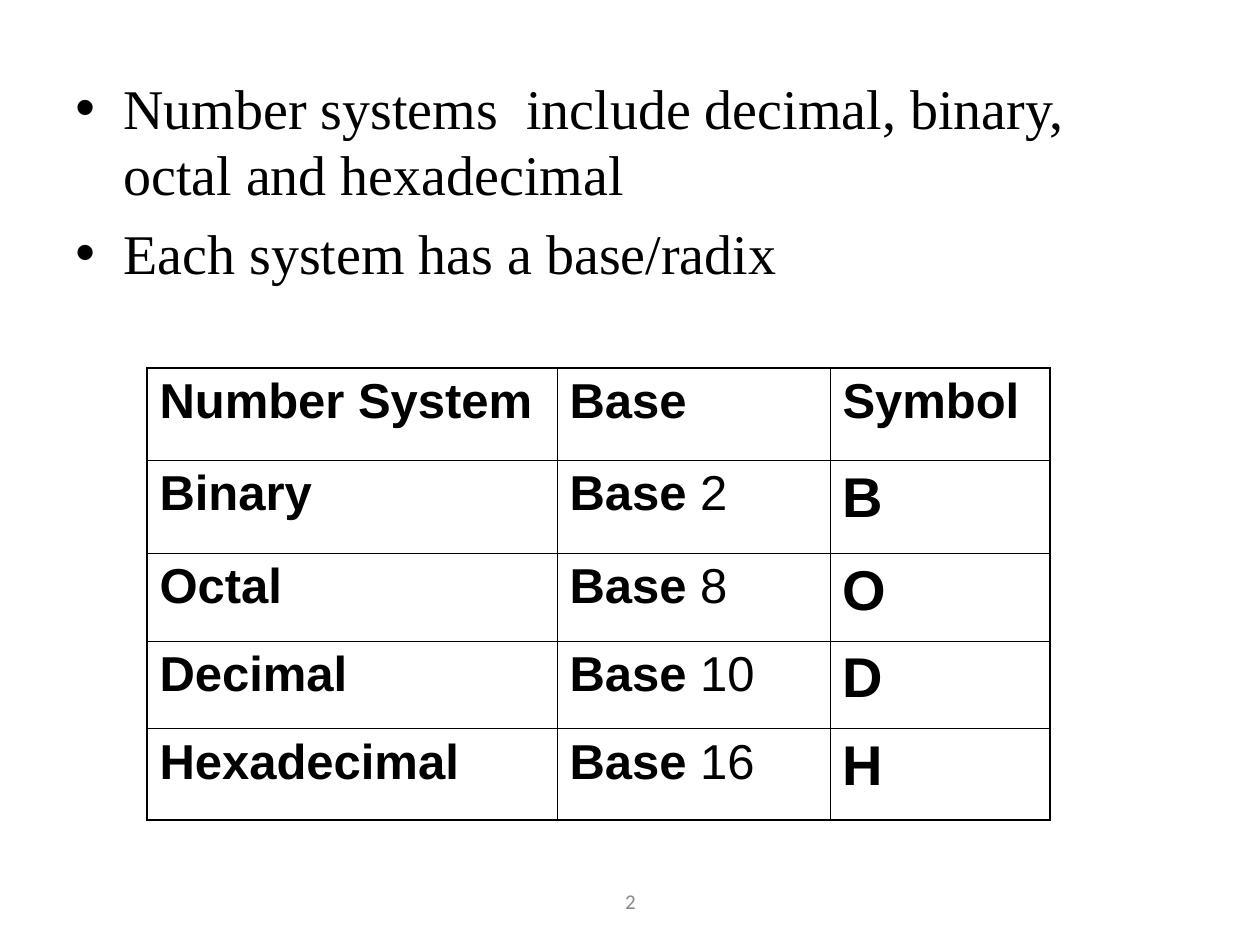
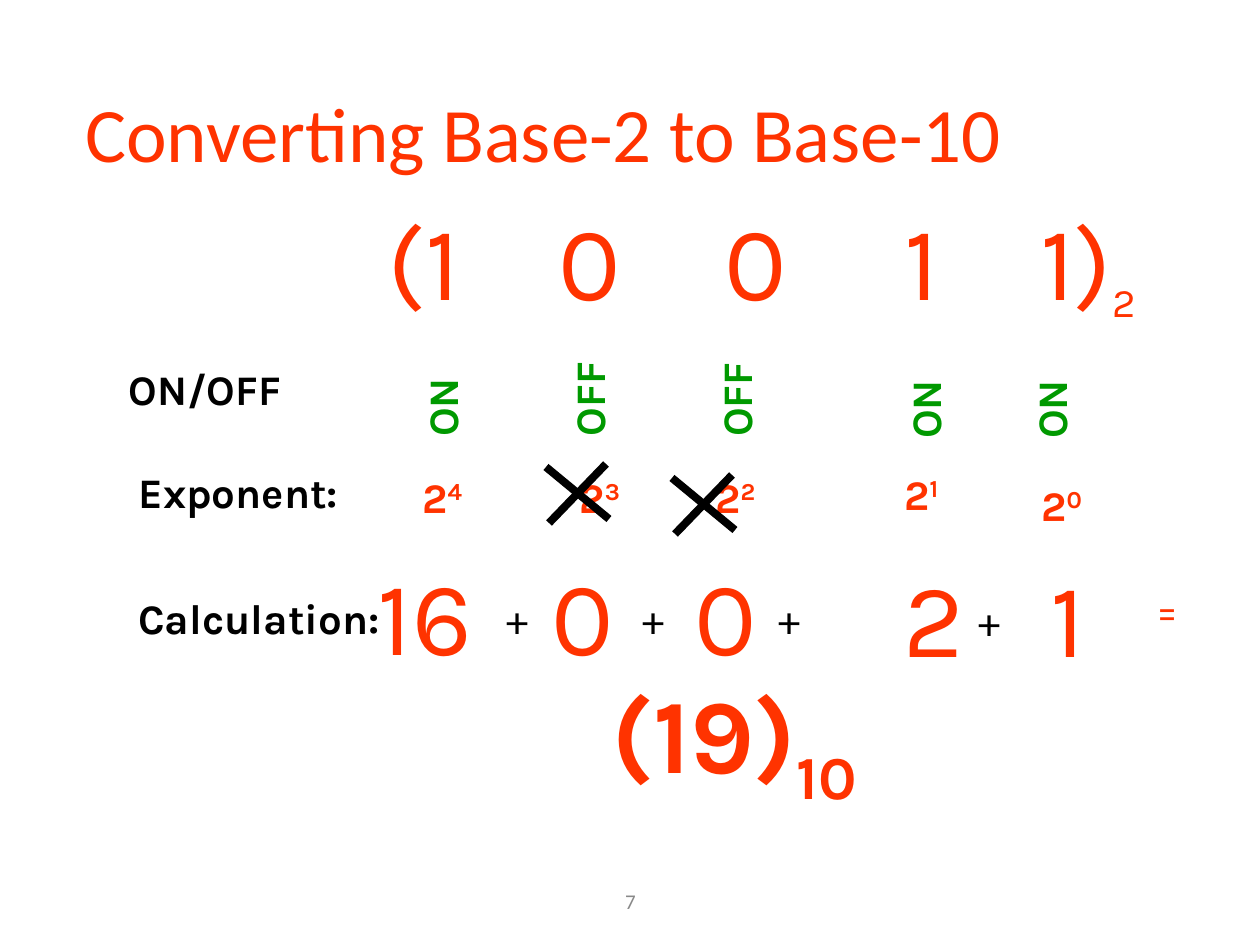
from dataclasses import dataclass

from lxml.etree import SubElement
from pptx import Presentation
from pptx.dml.color import RGBColor
from pptx.enum.shapes import MSO_CONNECTOR
from pptx.enum.text import MSO_ANCHOR, MSO_AUTO_SIZE, PP_ALIGN
from pptx.oxml.ns import qn
from pptx.util import Emu, Pt

EMU_PER_PX = 914400 / 126


@dataclass(frozen=True)
class Theme:
    black: str = "000000"
    accent: str = "FF3300"
    on_off: str = "009900"
    muted: str = "898989"
    base_font: str = "Calibri"
    body_font: str = "Times New Roman"
    table_font: str = "Arial"
    math_font: str = "Karla"
    title: int = 44
    digit: int = 60
    subscript: int = 40
    body: int = 32
    cell: int = 28
    label: int = 24
    footer: int = 12
    thin: float = 0.45
    frame: float = 1.08
    strike: float = 4.5


THEME = Theme()


@dataclass(frozen=True)
class Bit:
    digit: str
    state: str
    state_box: tuple
    power: str
    power_at: tuple
    value: str
    value_box: tuple


BITS = [
    Bit("(1", "ON", (389, 365, 105), "4", (410, 465), "16", (365, 544, 145)),
    Bit("0", "OFF", (522, 350, 134), "3", (567, 465), "0", (539, 544, 84)),
    Bit("0", "OFF", (663, 345, 145), "2", (703, 465), "0", (682, 544, 84)),
    Bit("1", "ON", (872, 367, 105), "1", (892, 462), "2", (891, 546, 84)),
    Bit("1)", "ON", (998, 367, 105), "0", (1029, 473), "1", (1038, 546, 84)),
]

NUMBER_SYSTEMS = [
    ("Number System", "", "Symbol"),
    ("Binary", " 2", "B"),
    ("Octal", " 8", "O"),
    ("Decimal", " 10", "D"),
    ("Hexadecimal", " 16", "H"),
]


def px(n):
    return Emu(round(n * EMU_PER_PX))


def style(r, size, color=THEME.black, font=THEME.math_font, bold=False):
    r.font.size = Pt(size)
    r.font.name = font
    r.font.bold = bold
    r.font.color.rgb = RGBColor.from_string(color)


def add_text(s, box, text, size, color=THEME.black, font=THEME.math_font, bold=False,
             align=PP_ALIGN.LEFT, anchor=MSO_ANCHOR.TOP, wrap=True, grow=True, rotation=0):
    sp = s.shapes.add_textbox(*map(px, box))
    sp.rotation = rotation
    tf = sp.text_frame
    tf.text = text
    tf.word_wrap = wrap
    tf.vertical_anchor = anchor
    tf.auto_size = MSO_AUTO_SIZE.SHAPE_TO_FIT_TEXT if grow else MSO_AUTO_SIZE.NONE
    p = tf.paragraphs[0]
    p.alignment = align
    style(p.runs[0], size, color, font, bold)
    return p


def add_script(p, text, size, baseline, bold=False):
    r = p.add_run()
    r.text = text
    style(r, size, THEME.accent, bold=bold)
    r.font._element.set("baseline", str(baseline * 1000))


def add_footer(s, number):
    add_text(s, (431, 876, 399, 50), number, THEME.footer, THEME.muted, THEME.base_font,
             align=PP_ALIGN.CENTER, anchor=MSO_ANCHOR.MIDDLE, grow=False)


def add_title(s, text):
    add_text(s, (73, 53, 1134, 157), text, THEME.title, THEME.accent, THEME.base_font,
             anchor=MSO_ANCHOR.MIDDLE, grow=False)


def add_bullets(s, box, items):
    sp = s.shapes.add_textbox(*map(px, box))
    tf = sp.text_frame
    tf.text = "\n".join(items)
    tf.word_wrap = True
    tf.margin_top = px(11)
    for p in tf.paragraphs:
        p.space_before = Pt(7)
        p.line_spacing = Pt(38)
        style(p.runs[0], THEME.body, font=THEME.body_font)
        pPr = p._p.get_or_add_pPr()
        pPr.set("marL", str(px(48)))
        pPr.set("indent", str(-px(48)))
        SubElement(pPr, qn("a:buFont"), typeface=THEME.table_font)
        SubElement(pPr, qn("a:buChar"), char="•")


def set_borders(cell, widths):
    tcPr = cell._tc.get_or_add_tcPr()
    for side, width in widths.items():
        ln = SubElement(tcPr, qn(f"a:{side}"), w=str(Pt(width)))
        fill = SubElement(ln, qn("a:solidFill"))
        SubElement(fill, qn("a:srgbClr"), val=THEME.black)


def add_grid(s, left, top, widths, heights, rows):
    frame = s.shapes.add_table(len(rows), len(widths), px(left), px(top),
                               px(sum(widths)), px(sum(heights)))
    table = frame.table
    table.first_row = False
    table.horz_banding = False
    for column, width in zip(table.columns, widths):
        column.width = px(width)
    for row, height in zip(table.rows, heights):
        row.height = px(height)
    last_row, last_col = len(rows) - 1, len(widths) - 1
    for i, (system, radix, symbol) in enumerate(rows):
        for j, text in enumerate((system, "Base", symbol)):
            cell = table.cell(i, j)
            cell.text = text
            p = cell.text_frame.paragraphs[0]
            p.space_before = Pt(7)
            size = THEME.body if i and j == last_col else THEME.cell
            style(p.runs[0], size, font=THEME.table_font, bold=True)
            if radix and j == 1:
                r = p.add_run()
                r.text = radix
                style(r, THEME.cell, font=THEME.table_font)
            outer = {"lnL": j == 0, "lnR": j == last_col, "lnT": i == 0, "lnB": i == last_row}
            set_borders(cell, {side: THEME.frame if edge else THEME.thin
                               for side, edge in outer.items()})
            cell.fill.background()


def add_cross(s, x, y):
    for x1, y1, x2, y2 in ((0, 0, 63, 52), (60, -3, 3, 56)):
        line = s.shapes.add_connector(MSO_CONNECTOR.STRAIGHT, px(x + x1), px(y + y1),
                                      px(x + x2), px(y + y2))
        line.line.width = Pt(THEME.strike)
        line.line.color.rgb = RGBColor.from_string(THEME.black)
        SubElement(line._element.spPr, qn("a:effectLst"))


def add_bit(s, i, bit):
    p = add_text(s, (347 + 166 * i, 189, 154, 139), bit.digit, THEME.digit, THEME.accent,
                 align=PP_ALIGN.CENTER)
    if i == len(BITS) - 1:
        add_script(p, "2", THEME.subscript, -25)
    add_text(s, (*bit.state_box, 63), bit.state, THEME.label, THEME.on_off,
             bold=True, rotation=270)
    p = add_text(s, (*bit.power_at, 73, 63), "2", THEME.label, THEME.accent,
                 bold=True, rotation=359.8)
    add_script(p, bit.power, THEME.label, 30, bold=True)
    add_text(s, (*bit.value_box, 139), bit.value, THEME.digit, THEME.accent, wrap=False)


def build_number_systems(s):
    add_footer(s, "2")
    add_bullets(s, (63, 63, 1134, 819), [
        "Number systems  include decimal, binary, octal and hexadecimal",
        "Each system has a base/radix",
    ])
    add_grid(s, 147, 368, (410, 273, 220), (92, 93, 88, 88, 91), NUMBER_SYSTEMS)


def build_conversion(s):
    add_footer(s, "7")
    add_title(s, "Converting Base-2 to Base-10")
    add_text(s, (116, 357, 242, 63), "ON/OFF", THEME.label, bold=True, rotation=359.8)
    for text, y in (("Exponent:", 460), ("Calculation:", 586)):
        add_text(s, (126, y, 283, 63), text, THEME.label, bold=True)
    for i, bit in enumerate(BITS):
        add_bit(s, i, bit)
    for x, y in ((546, 467), (672, 478)):
        add_cross(s, x, y)
    for x, y in ((494, 586), (630, 586), (766, 586), (966, 588)):
        add_text(s, (x, y, 53, 63), "+", THEME.label)
    add_text(s, (1144, 577, 53, 63), "=", THEME.label, THEME.accent)
    p = add_text(s, (599, 662, 357, 156), "(19)", THEME.digit, THEME.accent, bold=True)
    add_script(p, "10", THEME.digit, -25, bold=True)


def main():
    prs = Presentation()
    prs.slide_width, prs.slide_height = px(1260), px(945)
    for build in (build_number_systems, build_conversion):
        build(prs.slides.add_slide(prs.slide_layouts[6]))
    prs.save("out.pptx")


if __name__ == "__main__":
    main()
